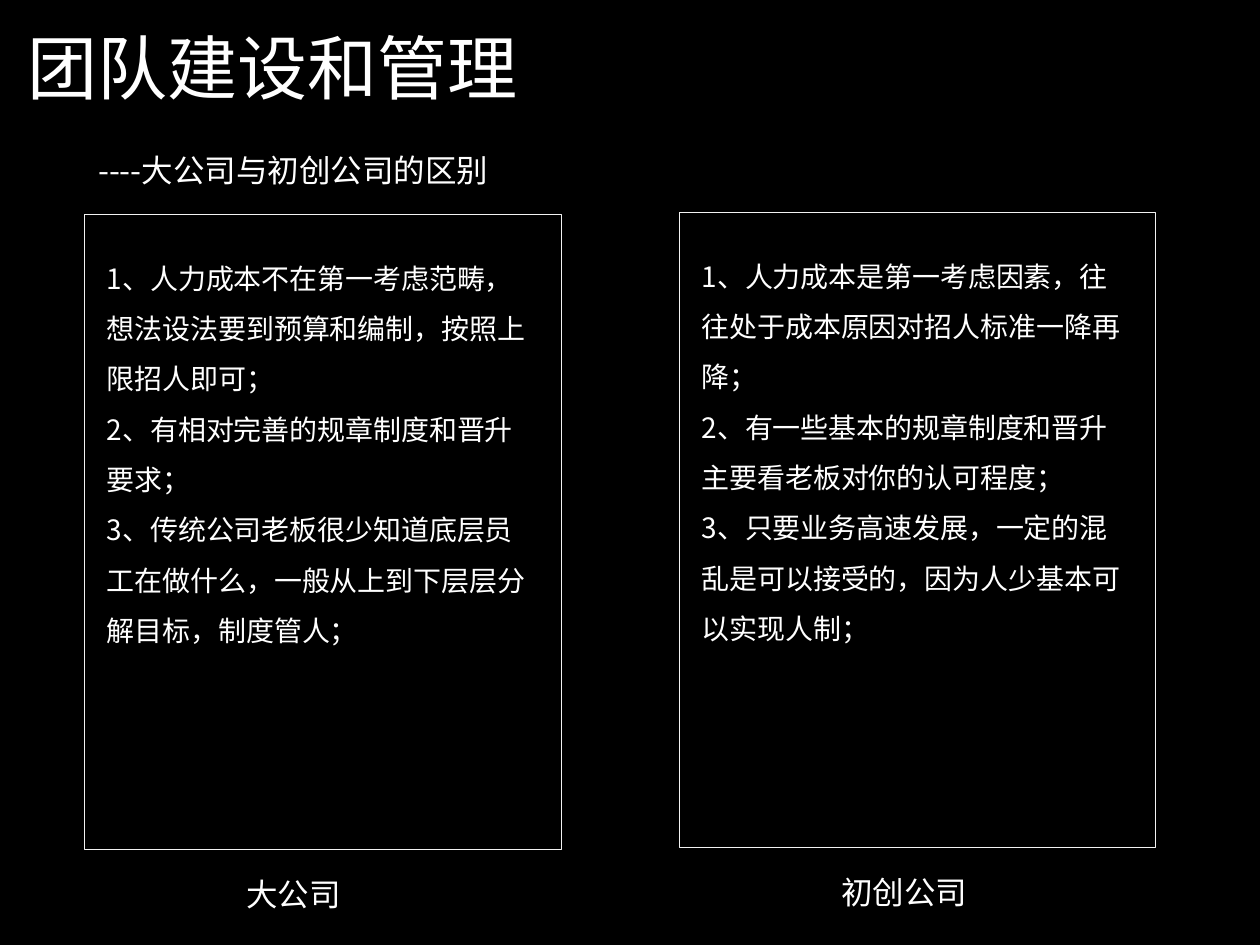
from lxml import etree
from pptx import Presentation
from pptx.dml.color import RGBColor
from pptx.enum import shapes, text
from pptx.oxml import ns
from pptx.util import Cm, Pt

# Content
TITLE = "团队建设和管理"
SUBTITLE = "----大公司与初创公司的区别"
COLUMNS = [
    {"label": "大公司", "label_width": 2.44, "left": 1.71, "top": 4.32, "points": [
        "1、人力成本不在第一考虑范畴，想法设法要到预算和编制，按照上限招人即可；",
        "2、有相对完善的规章制度和晋升要求；",
        "3、传统公司老板很少知道底层员工在做什么，一般从上到下层层分解目标，制度管人；"]},
    {"label": "初创公司", "label_width": 3.07, "left": 13.7, "top": 4.28, "points": [
        "1、人力成本是第一考虑因素，往往处于成本原因对招人标准一降再降；",
        "2、有一些基本的规章制度和晋升主要看老板对你的认可程度；",
        "3、只要业务高速发展，一定的混乱是可以接受的，因为人少基本可以实现人制；"]},
]

# Style
FONT = "Noto Sans CJK SC"
WHITE, BLACK, FRAME = "FFFFFF", "000000", "F2F2F2"
PANEL_WIDTH, PANEL_HEIGHT = 9.6, 12.8
PARAGRAPH_FORMAT = {"alignment": text.PP_ALIGN.LEFT,
                    "space_before": Pt(0), "space_after": Pt(0)}


def color(hex_value):
    return RGBColor.from_string(hex_value)


def place(shape, left, top, width, height):
    box = {"left": left, "top": top, "width": width, "height": height}
    for name, value in box.items():
        setattr(shape, name, Cm(value))


def write(shape, lines, size, spacing=1.0, wrap=True):
    frame = shape.text_frame
    frame_format = {"word_wrap": wrap, "auto_size": text.MSO_AUTO_SIZE.NONE,
                    "vertical_anchor": text.MSO_ANCHOR.TOP}
    for name, value in frame_format.items():
        setattr(frame, name, value)
    for index, line in enumerate(lines):
        paragraph = frame.paragraphs[0] if index == 0 else frame.add_paragraph()
        properties = paragraph._p.get_or_add_pPr()
        properties.set("marL", "0")
        properties.set("indent", "0")
        etree.SubElement(properties, ns.qn("a:buNone"))
        for name, value in {**PARAGRAPH_FORMAT, "line_spacing": spacing}.items():
            setattr(paragraph, name, value)
        run = paragraph.add_run()
        run.text = line
        for name, value in {"name": FONT, "size": Pt(size), "bold": False}.items():
            setattr(run.font, name, value)
        run.font.color.rgb = color(WHITE)
        # East Asian typeface
        etree.SubElement(run._r.get_or_add_rPr(), ns.qn("a:ea"), typeface=FONT)


def add_panel(slide, left, top):
    panel = slide.shapes.add_shape(shapes.MSO_SHAPE.RECTANGLE, Cm(left), Cm(top),
                                   Cm(PANEL_WIDTH), Cm(PANEL_HEIGHT))
    panel.shadow.inherit = False
    panel.fill.background()
    panel.line.color.rgb = color(FRAME)
    panel.line.width = Pt(0.5)


def main():
    presentation = Presentation()
    presentation.slide_width, presentation.slide_height = Cm(25.4), Cm(19.05)
    slide = presentation.slides.add_slide(
        presentation.slide_layouts.get_by_name("Comparison"))
    slide.background.fill.solid()
    slide.background.fill.fore_color.rgb = color(BLACK)

    # Title and subtitle
    place(slide.shapes.title, 0.3, 0.36, 24.8, 1.96)
    write(slide.shapes.title, [TITLE], 40)
    subtitle = slide.shapes.add_textbox(Cm(1.73), Cm(2.92), Cm(8.66), Cm(1.02))
    write(subtitle, [SUBTITLE], 18, wrap=False)

    # Framed lists with their labels below
    for index, column in enumerate(COLUMNS):
        left, top = column["left"], column["top"]
        label = slide.placeholders[1 + 2 * index]
        body = slide.placeholders[2 + 2 * index]
        add_panel(slide, left, top)
        place(body, left + 0.19, top + 0.48, 9, 10)
        write(body, column["points"], 16, spacing=1.5)
        place(label, left + 3, top + 13.2, column["label_width"], 1.02)
        write(label, [column["label"]], 18, wrap=False)

    presentation.save("out.pptx")


if __name__ == "__main__":
    main()
